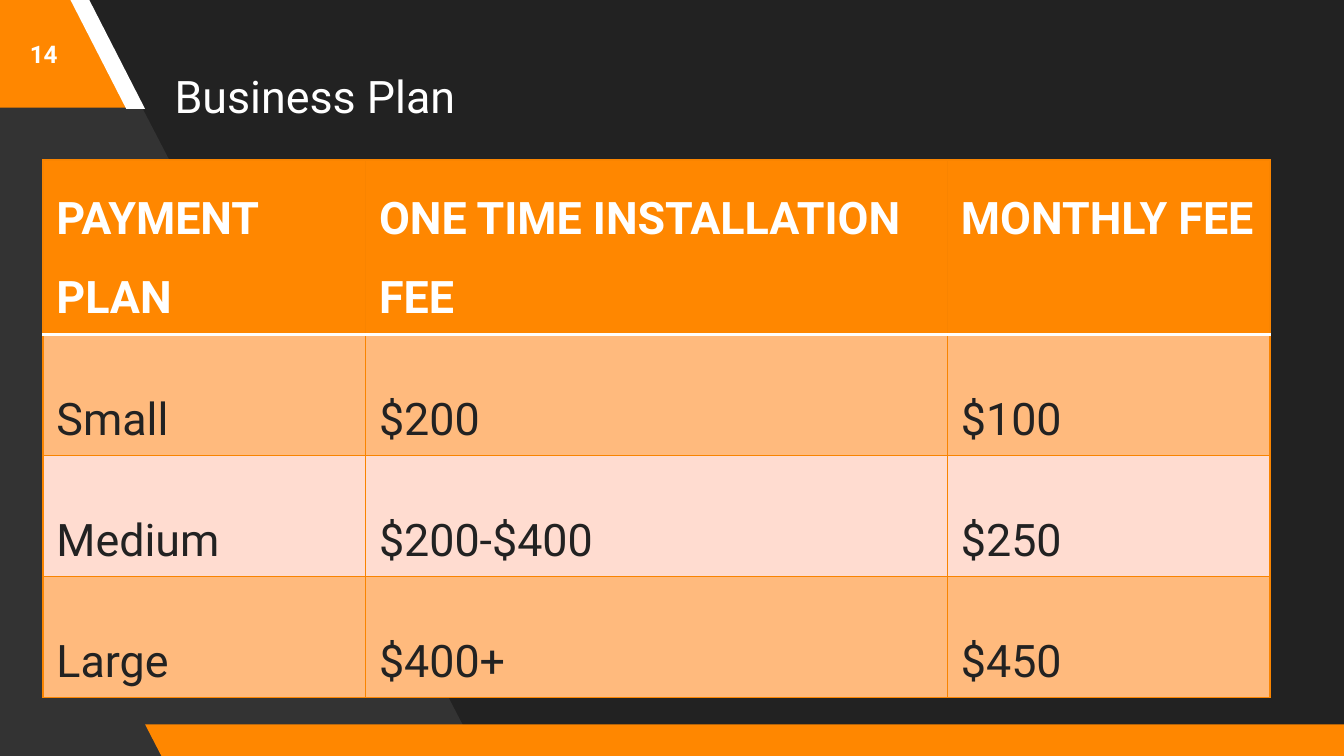
"""Build the Business Plan slide with its payment plan table."""
from lxml.etree import SubElement
from pptx import Presentation
from pptx.dml.color import RGBColor
from pptx.enum.shapes import MSO_SHAPE as Shape
from pptx.enum.text import MSO_ANCHOR as Anchor, PP_ALIGN as Align
from pptx.oxml.ns import qn
from pptx.util import Inches, Pt

HUES = {"back": "222222", "band": "333333", "main": "FF8700", "white": "FFFFFF",
        "edge": "F98400", "odd": "FFBA7D", "even": "FFDCD0"}


def paint(item, hue):
    item.fill.solid()
    item.fill.fore_color.rgb = RGBColor.from_string(HUES[hue])


def style(para, size, hue, bold=False):
    para.font.name = "Roboto"
    para.font.size = Pt(size)
    para.font.bold = bold
    para.font.color.rgb = RGBColor.from_string(HUES[hue])


deck = Presentation()
deck.slide_width, deck.slide_height = Inches(10), Inches(10 * 9 / 16)
slide = deck.slides.add_slide(deck.slide_layouts[6])
paint(slide.background, "back")
shapes = slide.shapes

pen = shapes.build_freeform(Inches(3.56), Inches(5.62))
pen.add_line_segments([(Inches(x), Inches(y)) for x, y in
                       [(0.62, -0.04), (-0.06, -0.04), (-0.02, 5.66)]])
band = pen.convert_to_shape()
band.shadow.inherit = False
paint(band, "band")
band.line.fill.background()

for box, slant, hue in [((-0.99, -0.02, 1.93, 0.82), 0.515, "main"),
                        ((0.52, -0.01, 0.56, 0.82), 0.75, "white"),
                        ((1.08, 5.39, 9.15, 0.25), 0.515, "main")]:
    bar = shapes.add_shape(Shape.PARALLELOGRAM, *map(Inches, box))
    bar.adjustments[0] = slant
    bar.element.spPr.find(qn("a:xfrm")).set("flipH", "1")
    bar.shadow.inherit = False
    paint(bar, hue)
    bar.line.fill.background()

for text, box, size, bold, align in [
        ("14", (0, 0, 0.65, 0.8), 13, True, Align.CENTER),
        ("Business Plan", (1.2, 0.3, 5.92, 0.82), 24, False, Align.LEFT)]:
    frame = shapes.add_textbox(*map(Inches, box)).text_frame
    frame.word_wrap = True
    frame.vertical_anchor = Anchor.MIDDLE
    frame.margin_left = frame.margin_right = Inches(0.1)
    frame.margin_top = frame.margin_bottom = Inches(0.1)
    para = frame.paragraphs[0]
    para.text = text
    para.alignment = align
    style(para, size, "white", bold)

plans = [("PAYMENT PLAN", "ONE TIME INSTALLATION FEE", "MONTHLY FEE"),
         ("Small", "$200", "$100"),
         ("Medium", "$200-$400", "$250"),
         ("Large", "$400+", "$450")]
widths, heights = (2.4, 4.33, 2.4), (0, 0.39, 0.39, 0.39)
holder = shapes.add_table(4, 3, Inches(0.32), Inches(1.19),
                          Inches(sum(widths)), Inches(2.95))
table = holder.table
table.first_row = table.horz_banding = False
for col, width in zip(table.columns, widths):
    col.width = Inches(width)
for row, height in zip(table.rows, heights):
    row.height = Inches(height)
holder.height = Inches(2.95)

for r, plan in enumerate(plans):
    head = r == 0
    for c, text in enumerate(plan):
        cell = table.cell(r, c)
        props = cell._tc.get_or_add_tcPr()
        for side in "LRTB":
            rule = (head and side == "B") or (r == 1 and side == "T")
            line = SubElement(props, qn(f"a:ln{side}"), w=str(Pt(2 if rule else 0.75)))
            fill = SubElement(line, qn("a:solidFill"))
            SubElement(fill, qn("a:srgbClr"), val=HUES["white" if rule else "edge"])
        paint(cell, "main" if head else "odd" if r % 2 else "even")
        para = cell.text_frame.paragraphs[0]
        para.text = text
        para.line_spacing = 1.5 if head else 2.0
        style(para, 24, "white" if head else "back", head)

deck.save("out.pptx")
